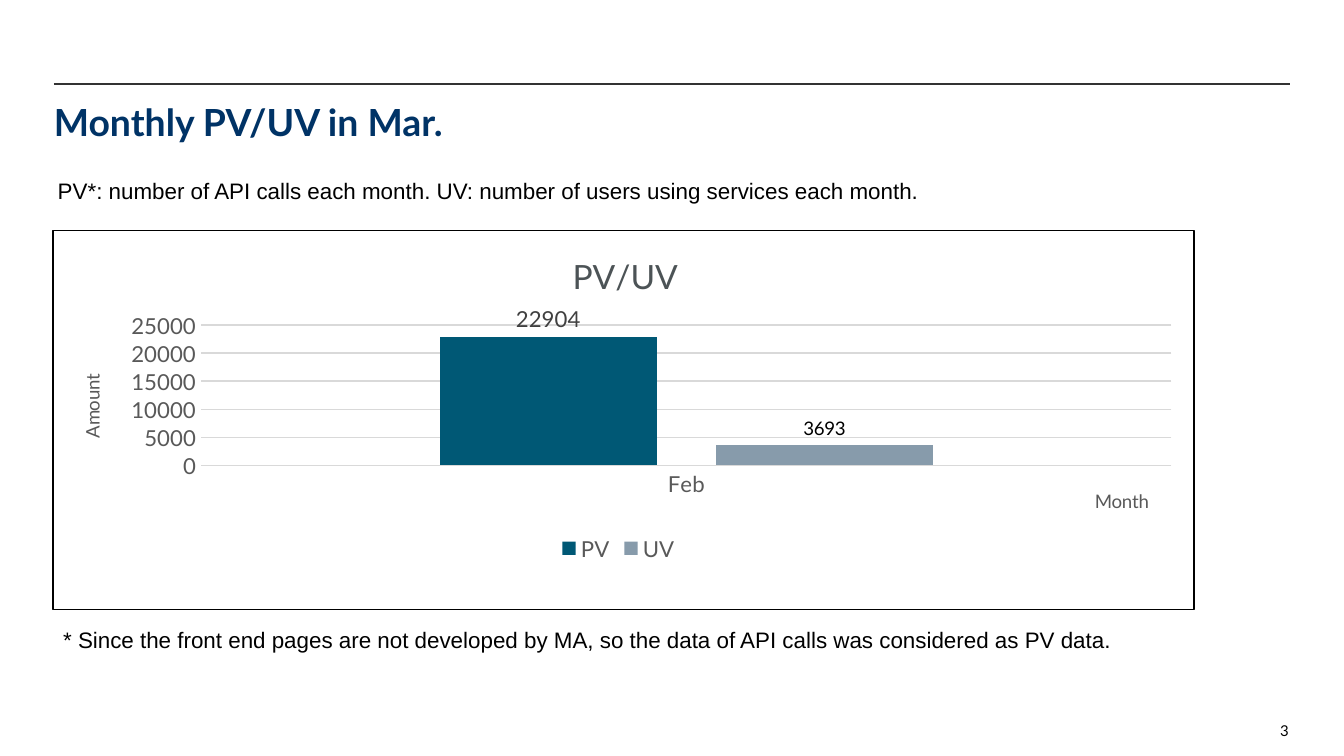
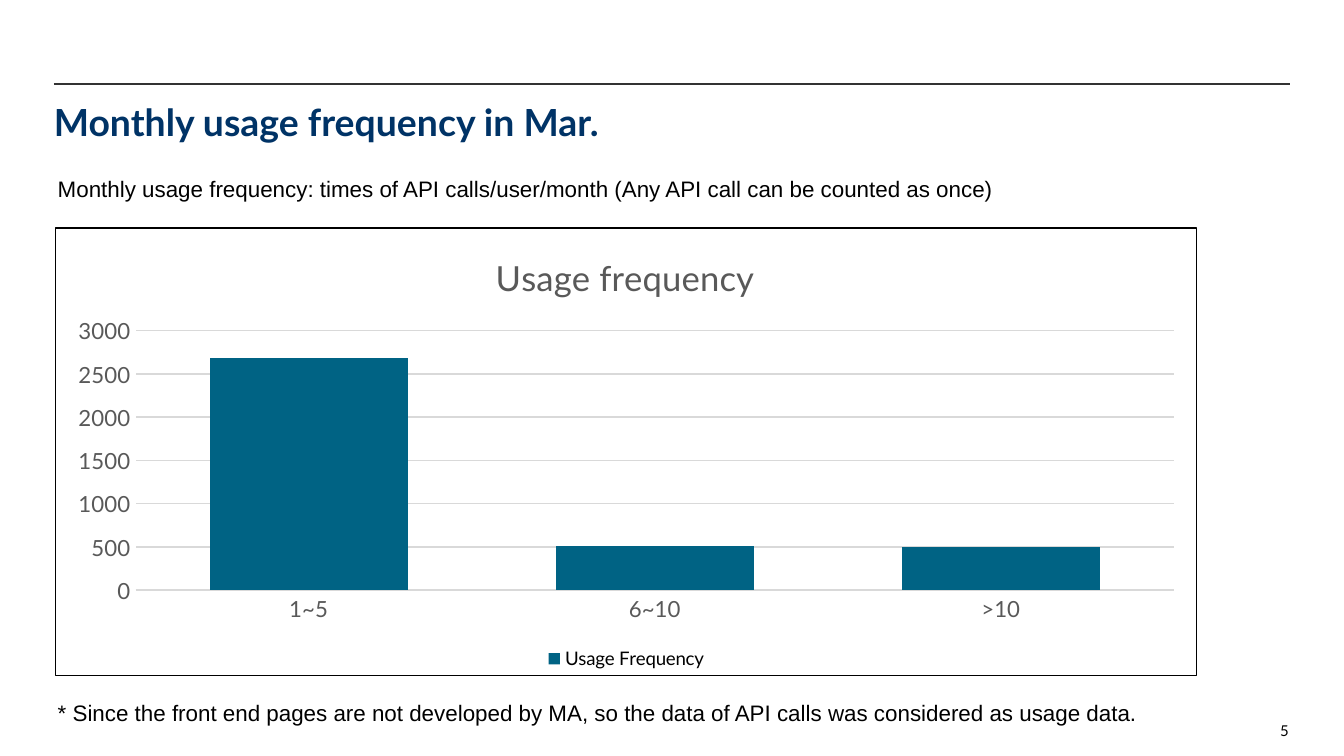
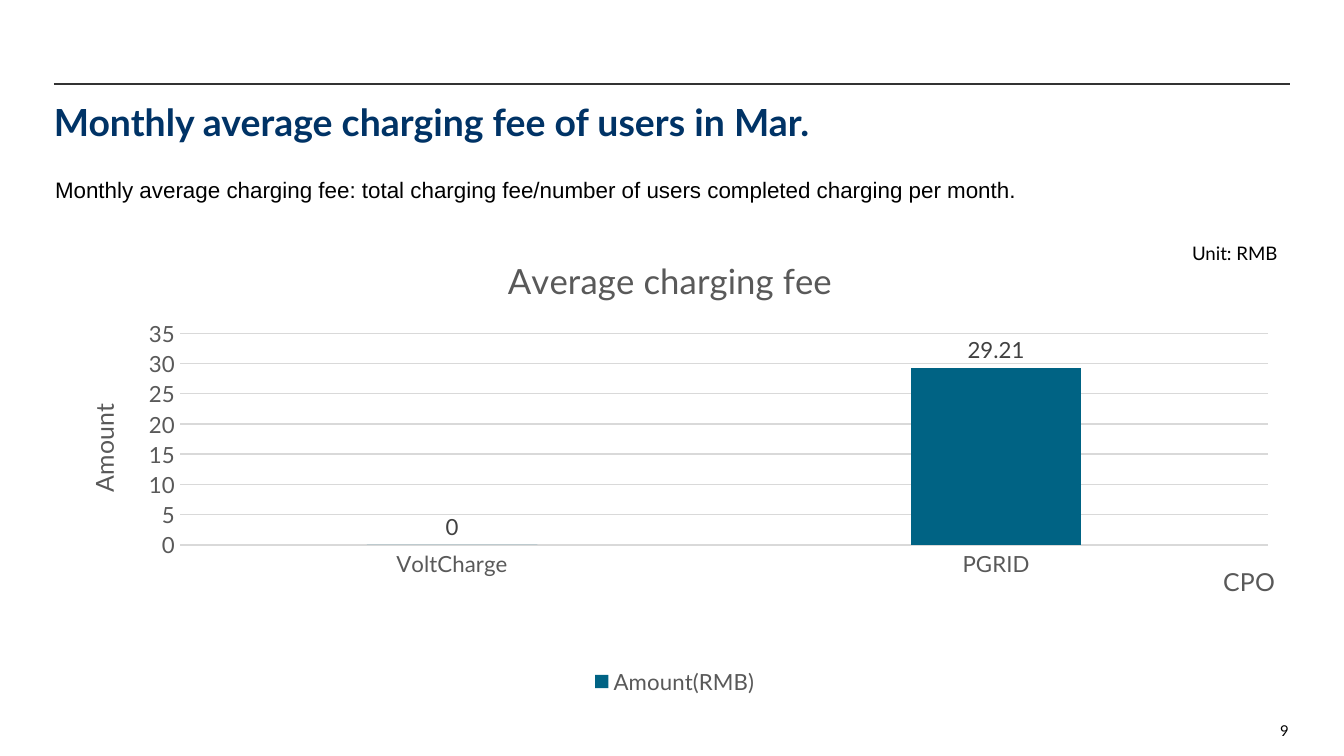
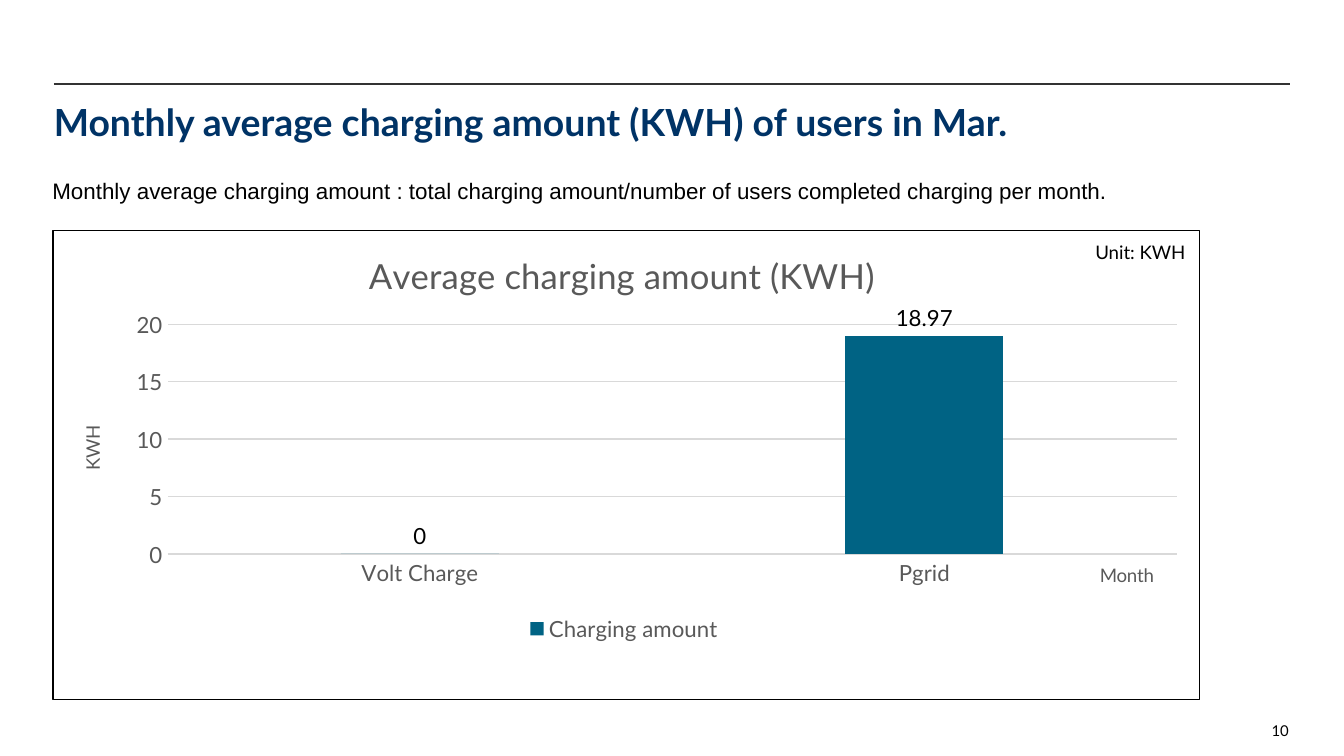
from pptx import Presentation
from pptx import util as u
from pptx.chart.data import CategoryChartData
from pptx.dml.color import RGBColor
from pptx.enum import chart as ch, shapes, text
from pptx.oxml import parse_xml
from pptx.oxml.ns import nsdecls, qn

NAVY = RGBColor(0x00, 0x33, 0x66)
BLACK = RGBColor(0x00, 0x00, 0x00)
RULE = RGBColor(0x33, 0x33, 0x33)
LABEL = RGBColor(0x40, 0x40, 0x40)
SLATE = RGBColor(0x4C, 0x53, 0x56)
GRAY = RGBColor(0x59, 0x59, 0x59)
GRID = RGBColor(0xD9, 0xD9, 0xD9)
TEAL = RGBColor(0x00, 0x63, 0x84)
DEEP_TEAL = RGBColor(0x00, 0x58, 0x75)
STEEL = RGBColor(0x87, 0x9B, 0xAB)

WIDTH, HEIGHT = u.Pt(720), u.Pt(405)
COLS, ROWS = 100, 56.25
HEAD, BODY = "Lato", "Arial"
TICK = 11.9


def style(font, size, color, name=HEAD, bold=False):
    font.size, font.name, font.bold = u.Pt(size), name, bold
    font.color.rgb = color


def place(el, x, y, w=None, h=None):
    layout = el.find(qn("c:layout"))
    if layout is not None:
        el.remove(layout)
    parts = '<c:layoutTarget val="inner"/>' if w else ""
    parts += '<c:xMode val="edge"/><c:yMode val="edge"/>'
    for tag, val in zip("xywh", (x, y, w, h)):
        if val is not None:
            parts += f'<c:{tag} val="{val}"/>'
    layout = parse_xml(f'<c:layout {nsdecls("c")}><c:manualLayout>{parts}'
                       '</c:manualLayout></c:layout>')
    before = el.find(qn("c:tx"))
    if before is None:
        before = el.find(qn("c:legendPos"))
    if before is None:
        el.insert(0, layout)
    else:
        before.addnext(layout)


class Deck:
    def __init__(self):
        self.prs = Presentation()
        self.prs.slide_width, self.prs.slide_height = WIDTH, HEIGHT
        self.s = None

    def box(self, x, y, w, h):
        cx, cy = WIDTH / COLS, HEIGHT / ROWS
        return [u.Emu(round(v)) for v in (x * cx, y * cy, w * cx, h * cy)]

    def fill_frame(self, tf, words, size, color, name, bold=False, right=False, wrap=True):
        tf.margin_left = tf.margin_right = tf.margin_top = tf.margin_bottom = 0
        tf.vertical_anchor = text.MSO_ANCHOR.TOP
        tf.word_wrap = wrap
        tf.text = words
        p = tf.paragraphs[0]
        p.alignment = text.PP_ALIGN.RIGHT if right else text.PP_ALIGN.LEFT
        style(p.font, size, color, name, bold)

    def slide(self, title, number):
        self.s = self.prs.slides.add_slide(self.prs.slide_layouts[5])
        self.rule(4, 6.25, 96)
        sp = self.s.shapes.title
        sp.left, sp.top, sp.width, sp.height = self.box(4, 7.4, 92, 5.6)
        self.fill_frame(sp.text_frame, title, 20, NAVY, HEAD, bold=True)
        self.text(str(number), 88.5, 53.7, 7.4, 1.5, size=8, name=HEAD, right=True)

    def rule(self, x1, y, x2):
        left, top, width, _ = self.box(x1, y, x2 - x1, 0)
        line = self.s.shapes.add_connector(
            shapes.MSO_CONNECTOR.STRAIGHT, left, top, left + width, top)
        line.line.color.rgb, line.line.width = RULE, u.Pt(0.75)
        line._element.spPr.append(parse_xml(f'<a:effectLst {nsdecls("a")}/>'))

    def text(self, words, x, y, w=90.6, h=2, size=12, name=BODY, right=False, wrap=True):
        sp = self.s.shapes.add_textbox(*self.box(x, y, w, h))
        self.fill_frame(sp.text_frame, words, size, BLACK, name, right=right, wrap=wrap)

    def unit(self, words, x, y):
        self.text(words, x, y, 10, 2.4, size=10, name=HEAD, wrap=False)

    def heading(self, title, words, size, color, at):
        title.text_frame.text = words
        style(title.text_frame.paragraphs[0].font, size, color)
        place(title._element, *at)

    def chart(self, at, cats, series, title, title_at, plot_at, top, step,
              title_color=GRAY, title_size=18.6, gap=219, overlap=-27, border=True,
              axis_titles=(), axis_size=10, legend_at=None, legend=(TICK, GRAY)):
        data = CategoryChartData()
        data.categories = cats
        for name, vals, *_ in series:
            data.add_series(name, vals)
        c = self.s.shapes.add_chart(
            ch.XL_CHART_TYPE.COLUMN_CLUSTERED, *self.box(*at), data).chart
        style(c.font, 10, BLACK)
        self.frame(c, border)
        self.heading(c.chart_title, title, title_size, title_color, title_at)
        place(c._chartSpace.chart.plotArea, *plot_at)

        for axis in (c.category_axis, c.value_axis):
            axis.major_tick_mark = axis.minor_tick_mark = ch.XL_TICK_MARK.NONE
            style(axis.tick_labels.font, TICK, GRAY)
        cat, val = c.category_axis, c.value_axis
        cat.format.line.color.rgb, cat.format.line.width = GRID, u.Pt(0.75)
        val.format.line.fill.background()
        grid = val.major_gridlines.format.line
        grid.color.rgb, grid.width = GRID, u.Pt(0.75)
        val.minimum_scale, val.maximum_scale, val.major_unit = 0, top, step
        for axis, (words, spot) in zip((cat, val), axis_titles):
            self.heading(axis.axis_title, words, axis_size, GRAY, spot)

        c.has_legend = True
        c.legend.position = ch.XL_LEGEND_POSITION.BOTTOM
        c.legend.include_in_layout = False
        style(c.legend.font, *legend)
        if legend_at:
            place(c.legend._element, *legend_at)

        plot = c.plots[0]
        plot.gap_width, plot.overlap, plot.vary_by_categories = gap, overlap, False
        for ser, (_, _, color, label) in zip(plot.series, series):
            ser.format.fill.solid()
            ser.format.fill.fore_color.rgb = color
            if label:
                labels = ser.data_labels
                labels.show_value = True
                labels.position = ch.XL_LABEL_POSITION.OUTSIDE_END
                style(labels.font, *label)

    def frame(self, c, border):
        paint = (f'<a:solidFill><a:srgbClr val="{BLACK}"/></a:solidFill>'
                 if border else "<a:noFill/>")
        c._chartSpace.chart.addnext(parse_xml(
            f'<c:spPr {nsdecls("c", "a")}><a:noFill/>'
            f'<a:ln w="{u.Pt(0.75)}">{paint}</a:ln></c:spPr>'))


d = Deck()

d.slide("Monthly PV/UV in Mar.", 3)
d.chart((3.9, 17.1, 85, 28.3), ["Feb"],
        [("PV", [22904], DEEP_TEAL, (TICK, LABEL)), ("UV", [3693], STEEL, (10, BLACK))],
        "PV/UV", (0.45, 0.04), (0.13, 0.25, 0.85, 0.37), 25000, 5000,
        title_color=SLATE, title_size=18, legend_at=(0.44, 0.79),
        axis_titles=[("Month", (0.91, 0.67)), ("Amount", (0.02, 0.37))])
d.text("PV*: number of API calls each month. UV: number of users using services each month.",
       4.3, 13.2)
d.text("* Since the front end pages are not developed by MA, "
       "so the data of API calls was considered as PV data.", 4.7, 46.6)

d.slide("Monthly usage frequency in Mar.", 5)
d.chart((4.1, 16.9, 85, 33.4), ["1~5", "6~10", ">10"],
        [("Usage Frequency", [2680, 510, 500], TEAL, None)],
        "Usage frequency", (0.38, 0.04), (0.07, 0.23, 0.91, 0.58), 3000, 500,
        gap=75, overlap=-25, legend=(10, BLACK))
d.text("Monthly usage frequency: times of API calls/user/month "
       "(Any API call can be counted as once)", 4.3, 13, 91.3, 3.9)
d.text("* Since the front end pages are not developed by MA, "
       "so the data of API calls was considered as usage data.", 4.3, 52)

d.slide("Monthly average charging fee of users in Mar.", 9)
d.chart((4.2, 17.1, 92, 35), ["VoltCharge", "PGRID"],
        [("Amount(RMB)", [0, 29.21], TEAL, (TICK, LABEL))],
        "Average charging fee", (0.36, 0.04), (0.1, 0.22, 0.88, 0.45), 35, 5,
        border=False, axis_size=13.3,
        axis_titles=[("CPO", (0.94, 0.7)), ("Amount", (0.02, 0.36))])
d.text("Monthly average charging fee: total charging fee/number of users "
       "completed charging per month.", 4.1, 13.1)
d.unit("Unit: RMB", 88.7, 18)

d.slide("Monthly average charging amount (KWH) of users in Mar.", 10)
d.chart((3.9, 17.1, 85.4, 35), ["Volt Charge", "Pgrid"],
        [("Charging amount", [0, 18.97], TEAL, (TICK, BLACK))],
        "Average charging amount (KWH)", (0.27, 0.03), (0.1, 0.2, 0.88, 0.49), 20, 5,
        legend_at=(0.41, 0.81),
        axis_titles=[("Month", (0.91, 0.7)), ("KWH", (0.02, 0.41))])
d.text("Monthly average charging amount : total charging amount/number of users "
       "completed charging per month.", 3.9, 13.2)
d.unit("Unit: KWH", 81.5, 17.9)

d.prs.save("out.pptx")
